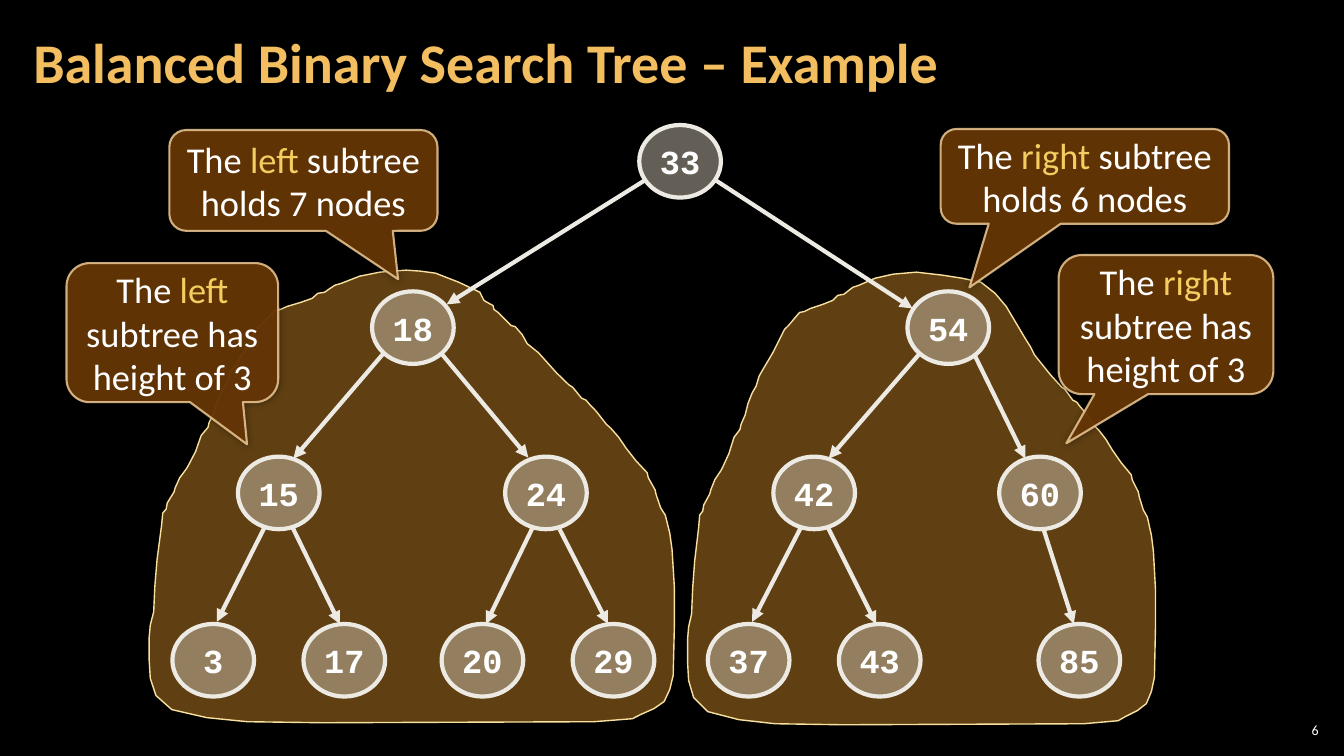
from lxml import etree
from pptx import Presentation
from pptx.dml.color import RGBColor
from pptx.enum.shapes import MSO_CONNECTOR, MSO_SHAPE
from pptx.enum.text import MSO_ANCHOR, PP_ALIGN
from pptx.oxml.ns import qn
from pptx.util import Inches, Pt

OVAL = MSO_SHAPE.OVAL
BUBBLE = MSO_SHAPE.ROUNDED_RECTANGULAR_CALLOUT
STRAIGHT = MSO_CONNECTOR.STRAIGHT
MIDDLE = MSO_ANCHOR.MIDDLE
LEFT, CENTER, RIGHT = PP_ALIGN.LEFT, PP_ALIGN.CENTER, PP_ALIGN.RIGHT

HEX = {"back": "000000", "text": "FFFFFF", "title": "F3BE60", "key": "F3CD60",
       "hill": "F0A22E", "rim": "F8E19F", "node": "C7BFAC", "edge": "ECEAE3",
       "bubble": "663606", "trim": "F8D49E"}
COLOR = {name: RGBColor.from_string(code) for name, code in HEX.items()}


def write(shape, *runs, size=26, font="Calibri", bold=False, align=CENTER,
          wrap=True, pad=(0.1, 0.05), space=None):
    """Fill a shape with one paragraph; each run is a (text, color name) pair."""
    frame = shape.text_frame
    frame.word_wrap, frame.vertical_anchor = wrap, MIDDLE
    frame.margin_left = frame.margin_right = Inches(pad[0])
    frame.margin_top = frame.margin_bottom = Inches(pad[1])
    para = frame.paragraphs[0]
    para.alignment, para.line_spacing = align, space
    for text, color in runs:
        run = para.add_run()
        run.text = text
        run.font.size, run.font.name, run.font.bold = Pt(size), font, bold
        run.font.color.rgb = COLOR[color]


def paint(shape, fill, alpha, line, width, line_alpha=100):
    """Set fill and outline with their opacity in percent, and drop the shadow."""
    shape.shadow.inherit = False
    shape.fill.solid()
    shape.fill.fore_color.rgb = COLOR[fill]
    shape.line.color.rgb = COLOR[line]
    shape.line.width = Pt(width)
    for route, share in (("a:solidFill", alpha), ("a:ln/a:solidFill", line_alpha)):
        tint = shape.element.spPr.xpath(route + "/a:srgbClr")[0]
        etree.SubElement(tint, qn("a:alpha")).set("val", str(share * 1000))


deck = Presentation()
deck.slide_width, deck.slide_height = Inches(13.33), Inches(7.5)
slide = deck.slides.add_slide(deck.slide_layouts[5])
slide.background.fill.solid()
slide.background.fill.fore_color.rgb = COLOR["back"]
shapes = slide.shapes

# Both hills share one outline, stretched for the left tree; only the shoulder differs.
OUTLINE = [
    (9.09, 2.7), (8.86, 2.72), (8.68, 2.76), (8.52, 2.83), (8.46, 2.85), (8.42, 2.88),
    (8.37, 2.92), (8.31, 2.93), (8.26, 2.98), (8.16, 3.02), (8.04, 3.06), (7.98, 3.09),
    (7.93, 3.1), (7.82, 3.23), (7.78, 3.27), (7.67, 3.49), (7.63, 3.56), (7.57, 3.66),
    (7.53, 3.73), (7.5, 3.83), (7.46, 3.9), (7.42, 4), (7.39, 4.12), (7.35, 4.21),
    (7.34, 4.26), (7.28, 4.34), (7.23, 4.5), (7.17, 4.63), (7.15, 4.67), (7.09, 4.76),
    (7.05, 4.86), (7.04, 4.9), (6.98, 5.01), (6.97, 5.07), (6.94, 5.11), (6.93, 5.23),
    (6.89, 5.57), (6.87, 5.84), (6.86, 6.09), (6.83, 6.22), (6.82, 6.34), (6.82, 6.57),
    (6.83, 6.75), (6.88, 6.92), (7.02, 7.06), (7.33, 7.14), (7.69, 7.18), (8.36, 7.19),
    (10.75, 7.18), (11.09, 7.15), (11.16, 7.11), (11.28, 7.05), (11.37, 6.98),
    (11.42, 6.86), (11.45, 6.72), (11.46, 6.24), (11.46, 5.84), (11.44, 5.47),
    (11.42, 5.31), (11.38, 5.13), (11.34, 5.06), (11.3, 4.93), (11.29, 4.88),
    (11.23, 4.76), (11.22, 4.71), (11.12, 4.59), (11.03, 4.46), (10.97, 4.36),
    (10.9, 4.27), (10.86, 4.23), (10.77, 4.1), (10.71, 4.03), (10.68, 3.99),
    (10.64, 3.97), (10.59, 3.9), (10.56, 3.86), (10.53, 3.84), (10.42, 3.72),
    (10.38, 3.67), (10.26, 3.52)]
ROUND = [(10.22, 3.44), (10.17, 3.36), (9.98, 3.04), (9.87, 2.91), (9.73, 2.8),
         (9.54, 2.76), (9.35, 2.73)]
ROUGH = [(5.23, 3.41), (5.18, 3.32), (5.11, 3.24), (5.07, 3.23), (4.98, 3.14),
         (4.94, 3.1), (4.9, 3.07), (4.89, 3.03), (4.85, 3.01), (4.8, 2.98),
         (4.78, 2.94), (4.76, 2.9), (4.72, 2.88), (4.55, 2.8), (4.32, 2.71), (4.17, 2.69)]
STRETCH = 5.22 / 4.65
wide = [(1.48 + (x - 6.82) * STRETCH, y - 0.02) for x, y in OUTLINE]
for points in (OUTLINE + ROUND, wide + ROUGH):
    places = [(Inches(x), Inches(y)) for x, y in points]
    pen = shapes.build_freeform(*places[0])
    pen.add_line_segments(places[1:], close=True)
    paint(pen.convert_to_shape(), "hill", 40, "rim", 1)

page = shapes.add_textbox(Inches(12.65), Inches(7.14), Inches(0.47), Inches(0.21))
write(page, ("6", "text"), size=10, align=RIGHT, pad=(0.04, 0.04))

title = shapes.title
title.left, title.top = Inches(0.21), Inches(0.04)
title.width, title.height = Inches(10.47), Inches(1.21)
write(title, ("Balanced Binary Search Tree – Example", "title"), size=40, bold=True,
      align=LEFT, pad=(0.12, 0.04), space=0.9)

# Each level of the tree: its top, then the left side and value of every node.
LEVELS = [
    (1.24, [(6.34, 33)]),
    (2.89, [(3.69, 18), (9, 54)]),
    (4.53, [(2.36, 15), (5.01, 24), (7.67, 42), (9.91, 60)]),
    (6.19, [(1.71, 3), (3.01, 17), (4.38, 20), (5.68, 29), (7.02, 37), (8.32, 43),
            (10.3, 85)])]
for top, nodes in LEVELS:
    for left, value in nodes:
        node = shapes.add_shape(OVAL, Inches(left), Inches(top), Inches(0.81), Inches(0.72))
        paint(node, "node", 50, "edge", 3)
        write(node, (str(value), "text"), size=24, font="Courier New", bold=True, wrap=False)

EDGES = [
    (6.41, 1.78, 4.43, 3.02), (7.1, 1.79, 9.05, 3.06),
    (3.8, 3.51, 2.91, 4.55), (4.38, 3.51, 5.24, 4.54),
    (9.12, 3.51, 8.22, 4.55), (9.67, 3.53, 10.17, 4.55),
    (2.62, 5.24, 2.15, 6.17), (2.9, 5.23, 3.37, 6.19),
    (5.28, 5.24, 4.82, 6.19), (5.55, 5.25, 6.03, 6.19),
    (7.94, 5.24, 7.46, 6.17), (8.21, 5.23, 8.69, 6.19), (10.35, 5.25, 10.65, 6.19)]
for ends in EDGES:
    edge = shapes.add_connector(STRAIGHT, *[Inches(n) for n in ends])
    edge.line.color.rgb = COLOR["edge"]
    edge.line.width = Pt(3)
    props = edge.element.spPr
    etree.SubElement(props.find(qn("a:ln")), qn("a:tailEnd")).set("type", "triangle")
    etree.SubElement(props, qn("a:effectLst"))

# Box, tip of the pointer, side of the tree and what is said about it.
NOTES = [
    ((1.68, 1.29, 2.66, 1), (0.353, 0.98), "left", "holds 7 nodes"),
    ((9.33, 1.28, 2.86, 0.94), (-0.4, 1.172), "right", "holds 6 nodes"),
    ((10.5, 2.53, 2.13, 1.38), (-0.464, 0.854), "right", "has height of 3"),
    ((0.66, 2.61, 2.1, 1.38), (0.353, 0.803), "left", "has height of 3")]
for box, tip, side, fact in NOTES:
    note = shapes.add_shape(BUBBLE, *[Inches(n) for n in box])
    note.adjustments[0], note.adjustments[1] = tip
    paint(note, "bubble", 95, "trim", 1.5, line_alpha=80)
    glow = etree.SubElement(note.element.spPr.find(qn("a:effectLst")), qn("a:outerShdw"))
    glow.set("blurRad", str(Pt(5)))
    shade = etree.SubElement(glow, qn("a:srgbClr"))
    shade.set("val", HEX["back"])
    etree.SubElement(shade, qn("a:alpha")).set("val", "40000")
    write(note, ("The ", "text"), (side, "key"), (f" subtree {fact}", "text"))

deck.save("out.pptx")
